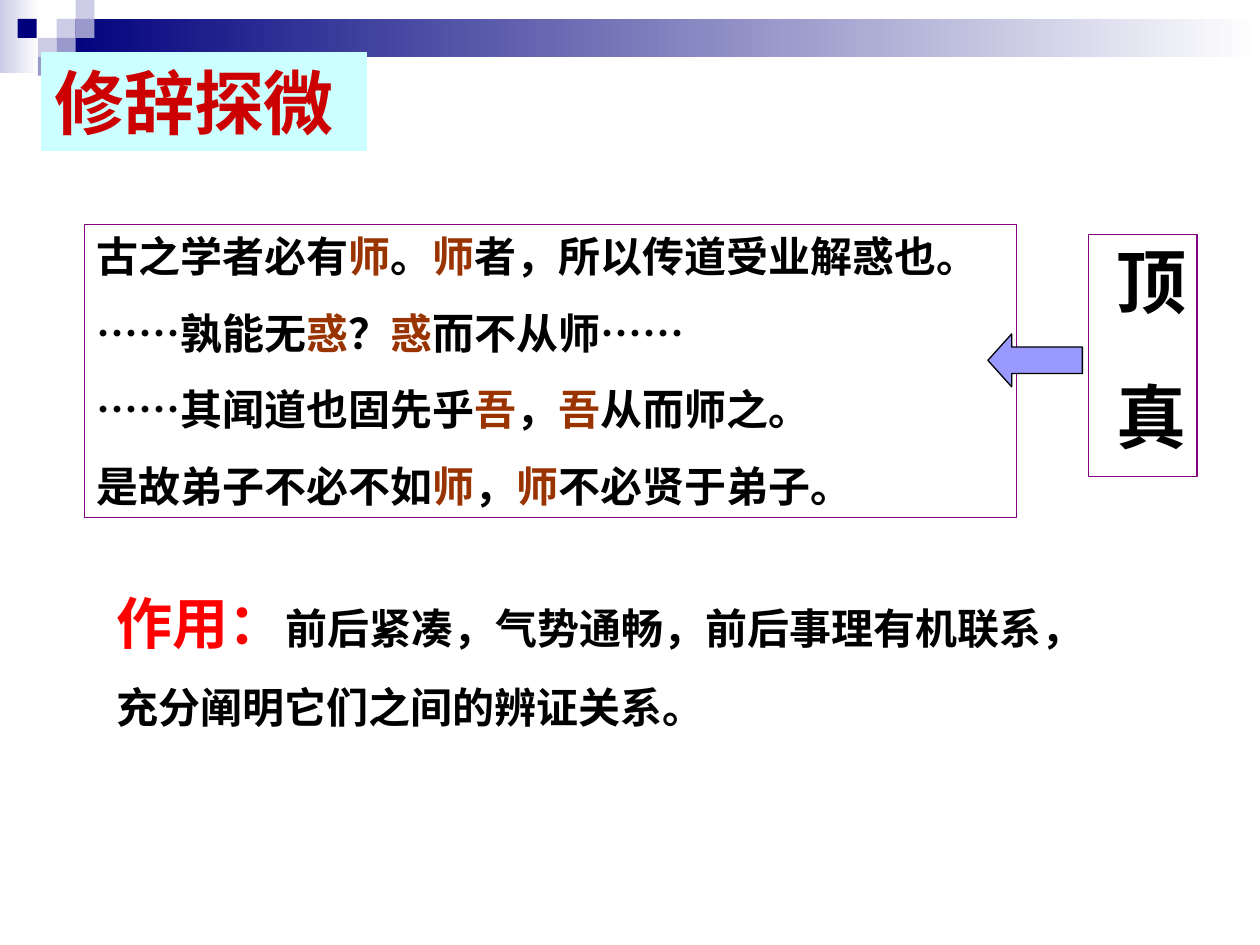
from dataclasses import dataclass

from pptx import Presentation
from pptx.dml.color import RGBColor
from pptx.enum.lang import MSO_LANGUAGE_ID
from pptx.enum.shapes import MSO_SHAPE
from pptx.enum.text import MSO_ANCHOR, MSO_AUTO_SIZE, PP_ALIGN
from pptx.util import Inches, Pt


@dataclass(frozen=True)
class Theme:
    font: str = "Times New Roman"
    navy: str = "00007D"
    lilac: str = "9999CC"
    pale: str = "CCCCE6"
    white: str = "FFFFFF"
    black: str = "000000"
    title_fill: str = "CCFFFF"
    title_text: str = "CC0000"
    accent: str = "993300"
    label: str = "FF0000"
    frame: str = "800080"
    arrow: str = "9999FF"
    big: int = 40
    medium: int = 32
    body: int = 24
    line: float = 0.75


THEME = Theme()
SQUARE = 0.15

# Small squares of the corner pattern: left, top, colour
SQUARES = [
    (0.45, 0.15, THEME.pale),
    (0.6, 0, THEME.pale),
    (0.6, 0.15, THEME.lilac),
    (0.3, 0.3, THEME.pale),
    (0.14, 0.15, THEME.navy),
    (0.45, 0.3, THEME.lilac),
    (0.3, 0.45, THEME.lilac),
]

# Quoted lines: plain and highlighted pieces take turns
QUOTES = [
    ("古之学者必有", "师", "。", "师", "者，所以传道受业解惑也。"),
    ("……孰能无", "惑", "？", "惑", "而不从师……"),
    ("……其闻道也固先乎", "吾", "，", "吾", "从而师之。"),
    ("是故弟子不必不如", "师", "，", "师", "不必贤于弟子。"),
]


def rgb(value):
    return RGBColor.from_string(value)


def place(sp, left, top, width, height):
    sp.left, sp.top = Inches(left), Inches(top)
    sp.width, sp.height = Inches(width), Inches(height)


def add_box(s, box, fill=None, line=None, kind=MSO_SHAPE.RECTANGLE):
    sp = s.shapes.add_shape(kind, *map(Inches, box))
    sp.shadow.inherit = False
    paint(sp, fill, line)
    return sp


def paint(sp, fill, line):
    if fill:
        sp.fill.solid()
        sp.fill.fore_color.rgb = rgb(fill)
    else:
        sp.fill.background()
    if line:
        sp.line.color.rgb = rgb(line)
        sp.line.width = Pt(THEME.line)
    else:
        sp.line.fill.background()


def add_gradient(s, box, start):
    sp = add_box(s, box)
    sp.fill.gradient()
    sp.fill.gradient_angle = 0
    for stop, color, position in zip(sp.fill.gradient_stops, (start, THEME.white), (0, 1)):
        stop.color.rgb = rgb(color)
        stop.position = position


def add_run(p, text, size, color):
    r = p.add_run()
    r.text = text
    font = r.font
    font.name, font.size, font.bold = THEME.font, Pt(size), True
    font.language_id = MSO_LANGUAGE_ID.SIMPLIFIED_CHINESE
    font.color.rgb = rgb(color)
    return r


def fill_text(sp, paragraphs, align=PP_ALIGN.LEFT, space=15):
    """Each paragraph is a list of (text, size, colour) runs."""
    tf = sp.text_frame
    tf.word_wrap = True
    tf.auto_size = MSO_AUTO_SIZE.NONE
    tf.vertical_anchor = MSO_ANCHOR.TOP
    for i, runs in enumerate(paragraphs):
        p = tf.add_paragraph() if i else tf.paragraphs[0]
        p.alignment = align
        p.space_before = Pt(space if i else 0)
        for run in runs:
            add_run(p, *run)
    return tf


def add_corner(s):
    add_gradient(s, (0, 0, 0.31, 0.58), THEME.pale)
    add_gradient(s, (0.45, 0.15, 9.55, 0.3), THEME.navy)
    for left, top, color in SQUARES:
        add_box(s, (left, top, SQUARE, SQUARE), color)


def set_title(s, text):
    sp = s.shapes.title
    place(sp, 0.33, 0.42, 2.58, 0.77)
    paint(sp, THEME.title_fill, THEME.title_fill)
    fill_text(sp, [[(text, THEME.big, THEME.title_text)]])
    s.shapes._spTree.append(sp._element)  # bring above the corner pattern


def add_quotes(s):
    sp = add_box(s, (0.67, 1.78, 7.4, 2.33), line=THEME.frame)
    colors = (THEME.black, THEME.accent)
    fill_text(sp, [
        [(text, THEME.body, colors[i % 2]) for i, text in enumerate(pieces)]
        for pieces in QUOTES
    ])


def add_vertical_label(s, first, last):
    sp = add_box(s, (8.64, 1.86, 0.86, 1.92), line=THEME.frame)
    runs = [(text, THEME.big, THEME.black) for text in (first, last)]
    tf = fill_text(sp, [runs], PP_ALIGN.CENTER)
    tf.margin_left = tf.margin_right = Inches(0.05)
    tf.margin_top = tf.margin_bottom = Inches(0.1)
    tf._txBody.bodyPr.set("vert", "eaVert")
    # Letter spacing opens the gap between the two characters
    tf.paragraphs[0].runs[0]._r.get_or_add_rPr().set("spc", "3700")


def add_effect(s):
    sp = s.shapes.add_textbox(*map(Inches, (0.83, 4.62, 8.35, 1.24)))
    fill_text(sp, [
        [("作用：", THEME.medium, THEME.label),
         ("前后紧凑，气势通畅，前后事理有机联系，", THEME.body, THEME.black)],
        [("充分阐明它们之间的辨证关系。", THEME.body, THEME.black)],
    ])


def add_arrow(s):
    sp = add_box(s, (7.84, 2.65, 0.75, 0.42), THEME.arrow, THEME.black, MSO_SHAPE.LEFT_ARROW)
    sp.adjustments[0], sp.adjustments[1] = 0.5, 0.45


def main():
    prs = Presentation()
    prs.slide_width, prs.slide_height = Inches(10), Inches(7.5)
    s = prs.slides.add_slide(prs.slide_layouts[5])

    # Corner pattern and title
    add_corner(s)
    set_title(s, "修辞探微")

    # Quotations, the figure of speech and its effect
    add_quotes(s)
    add_vertical_label(s, "顶", "真")
    add_effect(s)
    add_arrow(s)

    prs.save("out.pptx")


if __name__ == "__main__":
    main()
